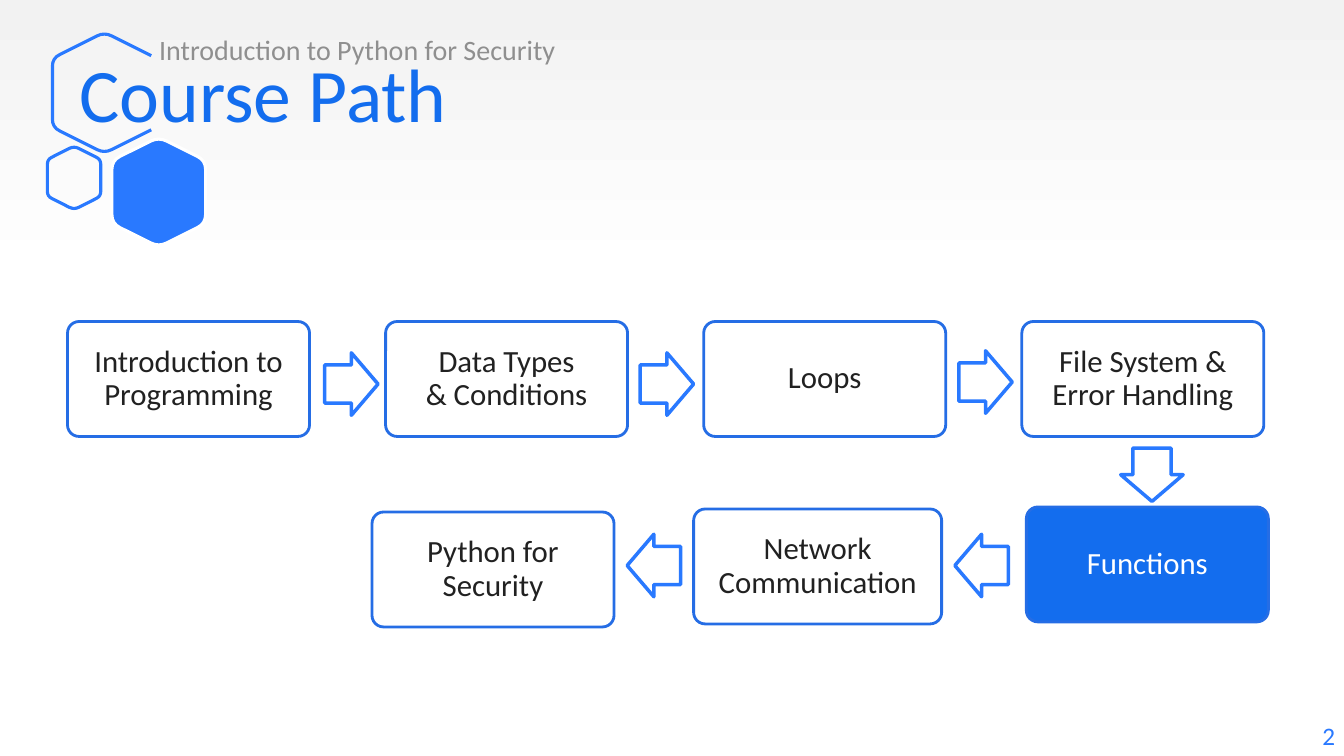
from dataclasses import dataclass

from pptx import Presentation
from pptx.dml.color import RGBColor
from pptx.enum.shapes import MSO_SHAPE
from pptx.enum.text import MSO_ANCHOR, PP_ALIGN
from pptx.util import Inches, Pt

ROUNDED = MSO_SHAPE.ROUNDED_RECTANGLE
ARROW = MSO_SHAPE.RIGHT_ARROW
TOP, MIDDLE = MSO_ANCHOR.TOP, MSO_ANCHOR.MIDDLE
LEFT, CENTER, RIGHT = PP_ALIGN.LEFT, PP_ALIGN.CENTER, PP_ALIGN.RIGHT


@dataclass(frozen=True)
class Theme:
    font: str = "Calibri"
    accent: str = "2979FF"
    strong: str = "136DEE"
    border: str = "256DE5"
    ink: str = "212121"
    muted: str = "8F8F8F"
    white: str = "FFFFFF"
    shade: str = "F2F2F2"
    title_size: float = 54
    step_size: float = 22
    subtitle_size: float = 20
    number_size: float = 18
    hexagon_line: float = 2.25
    arrow_line: float = 2.5
    step_line: float = 2


class PathSlide:
    def __init__(self, deck, theme):
        self.theme = theme
        self.page = deck.slides.add_slide(deck.slide_layouts[6])

    def background(self):
        fill = self.page.background.fill
        fill.gradient()
        fill.gradient_angle = 270
        stops = zip(fill.gradient_stops, (0, 0.37), (self.theme.shade, self.theme.white))
        for stop, position, color in stops:
            stop.position = position
            stop.color.rgb = RGBColor.from_string(color)

    def paint(self, shape, fill, line, width):
        shape.shadow.inherit = False
        if fill:
            shape.fill.solid()
            shape.fill.fore_color.rgb = RGBColor.from_string(fill)
        else:
            shape.fill.background()
        shape.line.color.rgb = RGBColor.from_string(line)
        shape.line.width = Pt(width)

    def set_text(self, shape, text, size, color, align, anchor):
        frame = shape.text_frame
        frame.word_wrap = True
        frame.vertical_anchor = anchor
        frame.text = text
        para = frame.paragraphs[0]
        para.alignment = align
        for span in para.runs:
            span.font.name = self.theme.font
            span.font.size = Pt(size)
            span.font.color.rgb = RGBColor.from_string(color)
        return frame

    def label(self, text, left, top, width, height, size, color, align=LEFT, anchor=TOP):
        box = self.page.shapes.add_textbox(
            Inches(left), Inches(top), Inches(width), Inches(height))
        self.set_text(box, text, size, color, align, anchor)

    def hexagon(self, left, top, width, height, corner, fill=None, line=None, cut=None):
        """Draw an upright hexagon with softened corners; cut opens it at that x."""
        middle, right, bottom = left + width / 2, left + width, top + height
        shoulder = width / 4
        vertices = [(right, bottom - shoulder), (middle, bottom), (left, bottom - shoulder),
                    (left, top + shoulder), (middle, top), (right, top + shoulder)]
        points = []
        for index, vertex in enumerate(vertices):
            if cut and vertex[0] == right:
                rise = (right - cut) / 2
                offset = rise if index == 0 else -rise
                points.append((cut, vertex[1] + offset))
                continue
            start = self.toward(vertex, vertices[index - 1], corner)
            end = self.toward(vertex, vertices[(index + 1) % 6], corner)
            for t in (0, 0.25, 0.5, 0.75, 1):
                points.append(tuple(
                    (1 - t) ** 2 * a + 2 * t * (1 - t) * v + t ** 2 * b
                    for a, v, b in zip(start, vertex, end)))
        outline = [(round(x * 1000), round(y * 1000)) for x, y in points]
        builder = self.page.shapes.build_freeform(*outline[0], scale=Inches(1) / 1000)
        builder.add_line_segments(outline[1:], close=cut is None)
        self.paint(builder.convert_to_shape(), fill, line or self.theme.accent,
                   self.theme.hexagon_line)

    @staticmethod
    def toward(origin, target, distance):
        """Return the point at a distance from origin on the way to target."""
        dx, dy = target[0] - origin[0], target[1] - origin[1]
        share = distance / (dx * dx + dy * dy) ** 0.5
        return origin[0] + dx * share, origin[1] + dy * share

    def step(self, text, left, top, width=2.4, current=False):
        theme = self.theme
        box = self.page.shapes.add_shape(
            ROUNDED, Inches(left), Inches(top), Inches(width), Inches(1.14))
        box.adjustments[0] = 0.1
        self.paint(box, theme.strong if current else theme.white, theme.border, theme.step_line)
        frame = self.set_text(box, text, theme.step_size,
                              theme.white if current else theme.ink, CENTER, MIDDLE)
        frame.margin_left = frame.margin_right = Inches(0.13)
        frame.margin_top = frame.margin_bottom = Inches(0.13)
        frame.paragraphs[0].line_spacing = 0.9

    def arrow(self, left, top, rotation=0):
        shape = self.page.shapes.add_shape(
            ARROW, Inches(left), Inches(top), Inches(0.53), Inches(0.62))
        shape.adjustments[0] = 0.61
        shape.adjustments[1] = 0.5
        shape.rotation = rotation
        self.paint(shape, None, self.theme.accent, self.theme.arrow_line)


def main():
    deck = Presentation()
    deck.slide_width, deck.slide_height = Inches(13.33), Inches(7.5)
    theme = Theme()
    slide = PathSlide(deck, theme)
    slide.background()

    slide.hexagon(0.52, 0.32, 1.03, 1.2, corner=0.08, cut=1.5)
    slide.hexagon(0.47, 1.45, 0.53, 0.63, corner=0.05)
    slide.hexagon(1.11, 1.36, 0.93, 1.09, corner=0.09, fill=theme.accent, line=theme.white)

    slide.label("2", 11.58, 7.1, 1.76, 0.4, theme.number_size, theme.accent, RIGHT)
    slide.label("Course Path", 0.69, 0.32, 11.49, 1.2,
                theme.title_size, theme.strong, anchor=MIDDLE)
    slide.label("Introduction to Python for Security", 1.48, 0.27, 4.45, 0.36,
                theme.subtitle_size, theme.muted)

    first_row = ("Introduction to Programming", "Data Types\v& Conditions",
                 "Loops", "File System & Error Handling")
    for column, text in enumerate(first_row):
        slide.step(text, 0.67 + 3.155 * column, 3.19)
    slide.step("Functions", 10.18, 5.03, current=True)
    slide.step("Network Communication", 6.88, 5.05, width=2.46)
    slide.step("Python for Security", 3.69, 5.08)

    for left, top, rotation in ((3.22, 3.5, 0), (6.35, 3.5, 0), (9.51, 3.48, 0),
                                (11.16, 4.4, 90), (9.47, 5.3, 180), (6.22, 5.3, 180)):
        slide.arrow(left, top, rotation)

    deck.save("out.pptx")


if __name__ == "__main__":
    main()
